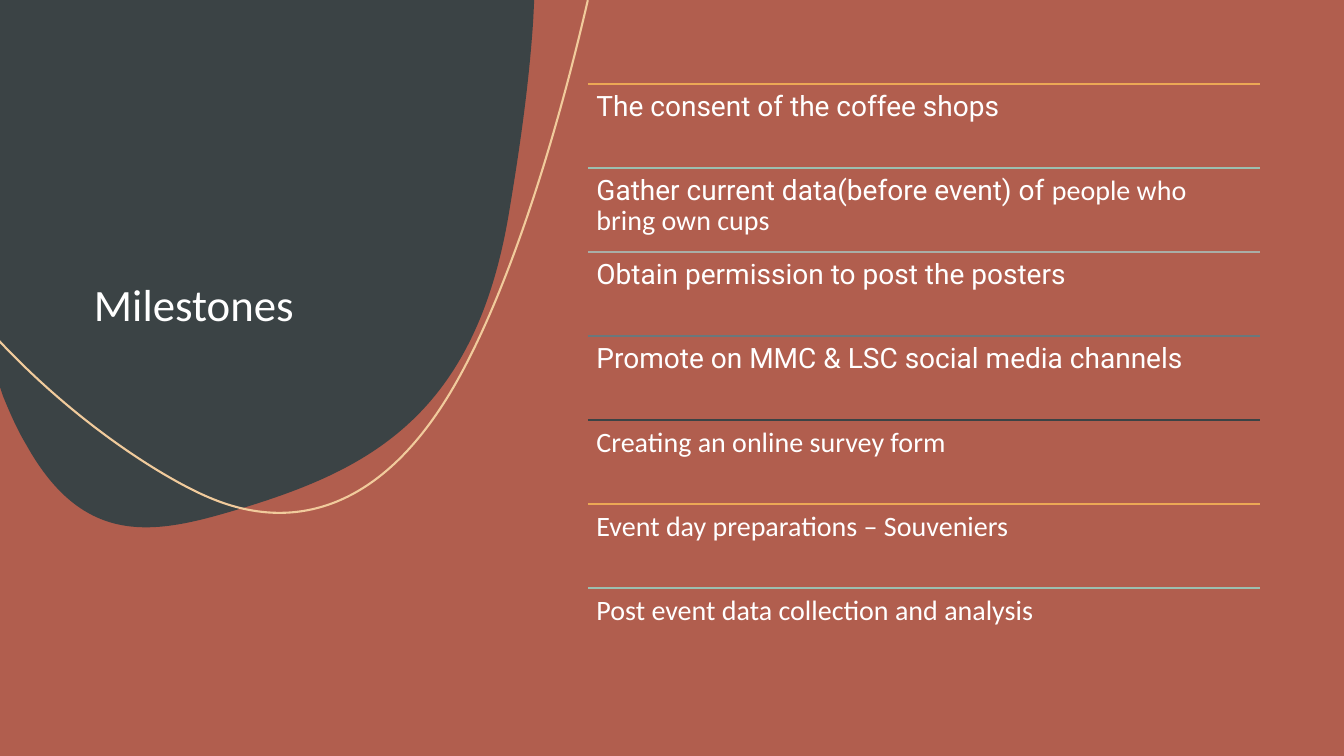
from pptx import Presentation
from pptx.dml.color import RGBColor
from pptx.enum.shapes import MSO_CONNECTOR
from pptx.enum.text import MSO_ANCHOR
from pptx.oxml.ns import qn
from pptx.util import Pt
from lxml.etree import SubElement

COLORS = {
    "clay": "B15E4E",
    "slate": "3B4345",
    "cream": "F1CB9C",
    "white": "FFFFFF",
    "orange": "ECA855",
    "mint": "9BBFB0",
    "sage": "A9AEA7",
    "steel": "6A787C",
}
RULE_COLORS = ["orange", "mint", "sage", "steel", "slate"]

MILESTONES = [
    [("The consent of the coffee shops", "Roboto")],
    [("Gather current data(before event) of ", "Roboto"),
     ("people who bring own cups", "Calibri")],
    [("Obtain permission to post the posters", "Roboto")],
    [("Promote on MMC & LSC social media channels", "Roboto")],
    [("Creating an online survey form", "Calibri")],
    [("Event day preparations – Souveniers", "Calibri")],
    [("Post event data collection and analysis", "Calibri")],
]
LIST_LEFT, LIST_TOP, LIST_WIDTH, ROW_HEIGHT = 420, 60, 480, 60

BLOB_SIZE = (381.6, 376.6)
BLOB_SEGMENTS = [
    [(381.6, 0)],
    [(380.9, 14.4)],
    [(378, 59), (371.5, 105.1), (363.6, 151.9)],
    [(339.8, 295.9), (264.2, 334.8), (175.7, 362.2)],
    [(115.9, 380.2), (61.9, 395.3), (18.7, 317.5)],
    [(12.2, 306.7), (7.2, 295.2), (2.2, 283)],
    [(0, 276.5)],
    [(0, 0)],
]
ARC_SIZE = (419.8, 366.5)
ARC_SEGMENTS = [
    [(419.8, 0)],
    [(419.8, 0.7)],
    [(393.8, 113), (360.7, 211), (326.9, 271.4)],
    [(275.8, 362.9), (211.7, 380.9), (151.9, 356.4)],
    [(124.6, 345.6), (60.5, 308.2), (0, 244.1)],
    [(0, 243.4)],
]


def rgb(name):
    return RGBColor.from_string(COLORS[name])


def add_outline(slide, size, segments, close):
    w, h = Pt(size[0]), Pt(size[1])
    builder = slide.shapes.build_freeform(0, 0)
    builder.add_line_segments([(w, 0), (w, h), (0, h)])
    sp = builder.convert_to_shape()
    sp.shadow.inherit = False
    outline = sp._element.spPr.find(".//" + qn("a:path"))
    for child in list(outline):
        outline.remove(child)
    for i, segment in enumerate(segments):
        curve = "a:cubicBezTo" if len(segment) == 3 else "a:lnTo"
        command = SubElement(outline, qn(curve if i else "a:moveTo"))
        for x, y in segment:
            SubElement(command, qn("a:pt"), x=str(Pt(x)), y=str(Pt(y)))
    if close:
        SubElement(outline, qn("a:close"))
    return sp


def add_blob(slide):
    sp = add_outline(slide, BLOB_SIZE, BLOB_SEGMENTS, True)
    sp.fill.solid()
    sp.fill.fore_color.rgb = rgb("slate")
    sp.line.fill.background()


def add_arc(slide):
    sp = add_outline(slide, ARC_SIZE, ARC_SEGMENTS, False)
    sp.fill.background()
    sp.line.color.rgb = rgb("cream")
    sp.line.width = Pt(1.5)


def add_rule(slide, top, color):
    line = slide.shapes.add_connector(
        MSO_CONNECTOR.STRAIGHT, Pt(LIST_LEFT), Pt(top),
        Pt(LIST_LEFT + LIST_WIDTH), Pt(top))
    line.line.color.rgb = rgb(color)
    line.line.width = Pt(1)
    SubElement(line._element.spPr, qn("a:effectLst"))


def add_text(slide, box, runs, size, insets, anchor):
    sp = slide.shapes.add_textbox(*[Pt(length) for length in box])
    tf = sp.text_frame
    tf.word_wrap = True
    tf.vertical_anchor = anchor
    tf.margin_left = tf.margin_right = Pt(insets[0])
    tf.margin_top = tf.margin_bottom = Pt(insets[1])
    p = tf.paragraphs[0]
    p.line_spacing = 0.9
    p.font.size = Pt(size)
    p.font.color.rgb = rgb("white")
    p.font.name = runs[0][1]
    for text, font in runs:
        r = p.add_run()
        r.text = text
        if font != p.font.name:
            r.font.name = font


def main():
    prs = Presentation()
    prs.slide_width, prs.slide_height = Pt(960), Pt(540)
    slide = prs.slides.add_slide(prs.slide_layouts[6])
    slide.background.fill.solid()
    slide.background.fill.fore_color.rgb = rgb("clay")

    add_blob(slide)
    add_arc(slide)
    add_text(slide, (60, 60, 240, 180), [("Milestones", "Calibri")], 32,
             (7.2, 3.6), MSO_ANCHOR.BOTTOM)
    for i, runs in enumerate(MILESTONES):
        top = LIST_TOP + i * ROW_HEIGHT
        add_rule(slide, top, RULE_COLORS[i % len(RULE_COLORS)])
        add_text(slide, (LIST_LEFT, top, LIST_WIDTH, ROW_HEIGHT), runs, 20,
                 (6, 6), MSO_ANCHOR.TOP)
    prs.save("out.pptx")


if __name__ == "__main__":
    main()
